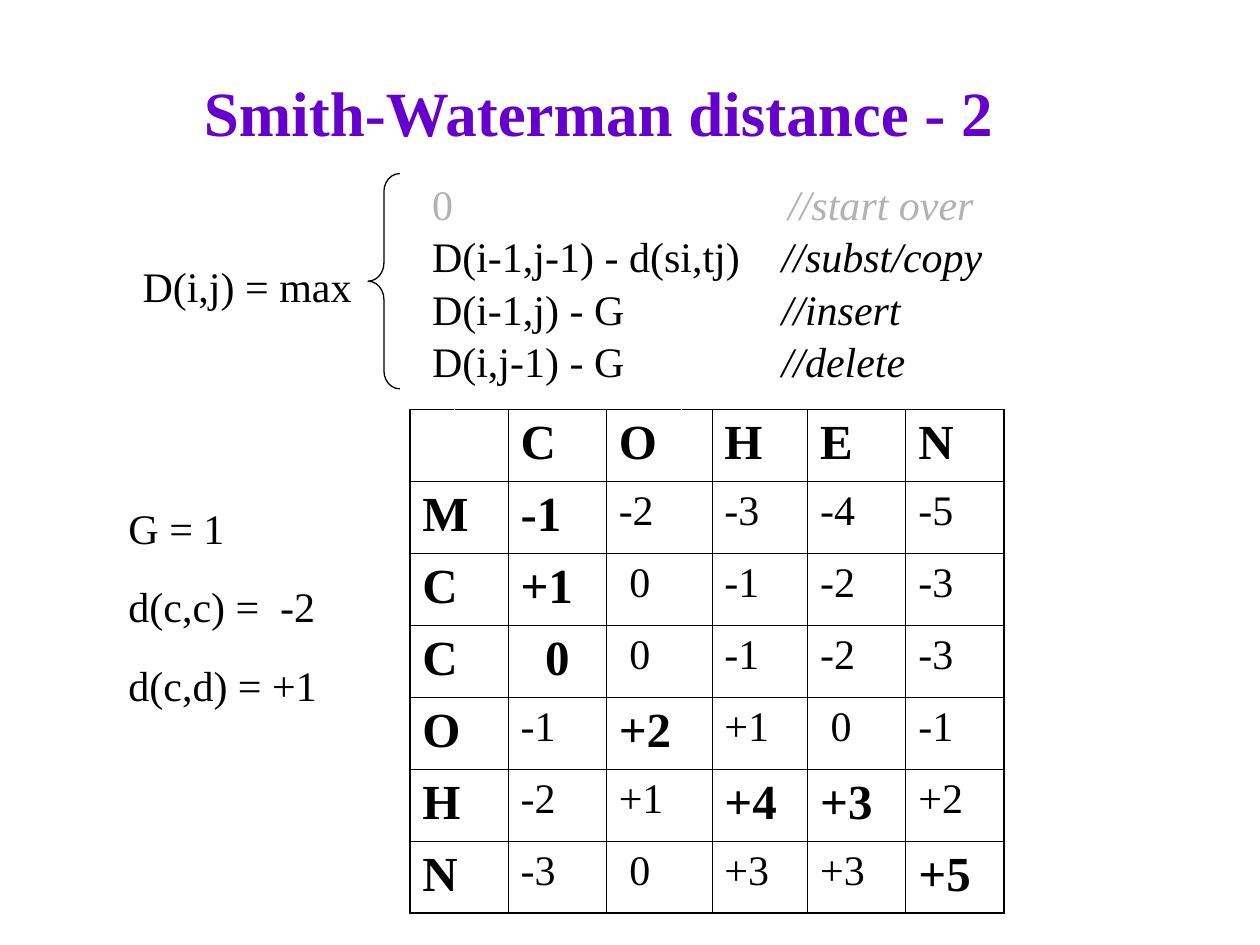
"""Build the Smith-Waterman distance slide with its recurrence and score table."""
from lxml import etree
from pptx import Presentation
from pptx.dml.color import RGBColor
from pptx.enum.shapes import MSO_SHAPE
from pptx.enum.text import MSO_ANCHOR, PP_ALIGN
from pptx.oxml.ns import qn
from pptx.util import Cm, Pt

LEFT_BRACE = MSO_SHAPE.LEFT_BRACE
MIDDLE = MSO_ANCHOR.MIDDLE
CENTER, RIGHT = PP_ALIGN.CENTER, PP_ALIGN.RIGHT
FONT = "Times New Roman"
PURPLE = RGBColor(0x66, 0x00, 0xCC)
BLACK = RGBColor(0x00, 0x00, 0x00)
GRAY = RGBColor(0xB2, 0xB2, 0xB2)
WHITE = RGBColor(0xFF, 0xFF, 0xFF)
THIN, THICK = Pt(0.45), Pt(1.08)


def style(run, size=24, color=BLACK, bold=False, italic=False):
    run.font.name = FONT
    run.font.size = Pt(size)
    run.font.color.rgb = color
    run.font.bold = bold
    run.font.italic = italic


def set_borders(cell, borders):
    properties = cell._tc.get_or_add_tcPr()
    for position, side in enumerate("LRTB"):
        color, width = borders[side]
        line = etree.Element(qn(f"a:ln{side}"), w=str(width))
        fill = etree.SubElement(line, qn("a:solidFill"))
        etree.SubElement(fill, qn("a:srgbClr"), val=str(color))
        properties.insert(position, line)


presentation = Presentation()
presentation.slide_width, presentation.slide_height = Cm(25.4), Cm(19.05)
slide = presentation.slides.add_slide(presentation.slide_layouts[5])

title = slide.shapes.title
title.left, title.top, title.width, title.height = Cm(1.27), Cm(1.07), Cm(21.59), Cm(2.34)
title.text_frame.text = "Smith-Waterman distance - 2"
title.text_frame.vertical_anchor = MIDDLE
title.text_frame.paragraphs[0].alignment = CENTER
style(title.text_frame.paragraphs[0].runs[0], 36, PURPLE, bold=True)

brace = slide.shapes.add_shape(LEFT_BRACE, Cm(7.42), Cm(3.5), Cm(0.64), Cm(4.34))
brace.adjustments[0] = 0.57
brace.shadow.inherit = False
brace.fill.background()
brace.line.color.rgb = BLACK
brace.line.width = Pt(0.75)

formula = slide.shapes.add_textbox(Cm(2.62), Cm(5.08), Cm(4.72), Cm(1.27))
formula.text_frame.text = "D(i,j) = max"
formula.text_frame.paragraphs[0].alignment = RIGHT
formula.text_frame.paragraphs[0].line_spacing = 1.04
style(formula.text_frame.paragraphs[0].runs[0])

CASES = [
    ("0", "//start over", GRAY, 7.18),
    ("D(i-1,j-1) - d(si,tj)", "//subst/copy", BLACK, 7.05),
    ("D(i-1,j) - G", "//insert", BLACK, 7.05),
    ("D(i,j-1) - G", "//delete", BLACK, 7.05),
]
cases = slide.shapes.add_textbox(Cm(8.46), Cm(3.43), Cm(12), Cm(4.32))
cases.text_frame.word_wrap = True
cases.text_frame.text = "\n".join(expression for expression, *_ in CASES)
for paragraph, (_, comment, color, tab) in zip(cases.text_frame.paragraphs, CASES):
    paragraph.line_spacing = 1.04
    tabs = etree.SubElement(paragraph._p.get_or_add_pPr(), qn("a:tabLst"))
    etree.SubElement(tabs, qn("a:tab"), pos=str(Cm(tab)), algn="l")
    style(paragraph.runs[0], color=color)
    comment_run = paragraph.add_run()
    comment_run.text = "\t" + comment
    style(comment_run, color=color, italic=True)

costs = slide.shapes.add_textbox(Cm(2.34), Cm(9.96), Cm(4.88), Cm(4.37))
costs.text_frame.word_wrap = True
costs.text_frame.text = "G = 1\nd(c,c) =  -2\nd(c,d) = +1"
for index, paragraph in enumerate(costs.text_frame.paragraphs):
    paragraph.line_spacing = 1.04
    paragraph.space_before = Pt(15 if index else 0)
    style(paragraph.runs[0])

SCORES = [
    ["", "C", "O", "H", "E", "N"],
    ["M", "-1", "-2", "-3", "-4", "-5"],
    ["C", "+1", " 0", "-1", "-2", "-3"],
    ["C", "0", " 0", "-1", "-2", "-3"],
    ["O", "-1", "+2", "+1", " 0", "-1"],
    ["H", "-2", "+1", "+4", "+3", "+2"],
    ["N", "-3", " 0", "+3", "+3", "+5"],
]
BEST_PATH = {(1, 1), (2, 1), (3, 1), (4, 2), (5, 3), (5, 4), (6, 5)}
COLUMN_WIDTHS = [0.89, 1.09, 1.98, 1.52, 0.61, 1.93, 1.98, 1.98]
GRID_STARTS = [0, 2, 3, 5, 6, 7]
ROW_HEIGHT = 1.45
FIRST_MERGED_ROW = {0: 1, 3: 2}
last_row, last_column = len(SCORES) - 1, len(COLUMN_WIDTHS) - 1

table = slide.shapes.add_table(
    len(SCORES), len(COLUMN_WIDTHS), Cm(8.26), Cm(8.26),
    Cm(sum(COLUMN_WIDTHS)), Cm(ROW_HEIGHT * len(SCORES))).table
table.first_row = table.horz_banding = False
for column, width in zip(table.columns, COLUMN_WIDTHS):
    column.width = Cm(width)
for row in table.rows:
    row.height = Cm(ROW_HEIGHT)

for row in range(len(SCORES)):
    for column in range(len(COLUMN_WIDTHS)):
        cell = table.cell(row, column)
        cell.fill.background()
        borders = {side: (BLACK, THIN) for side in "LRTB"}
        if column == 0:
            borders["L"] = (BLACK, THICK)
        if column == last_column:
            borders["R"] = (BLACK, THICK)
        if row == last_row:
            borders["B"] = (BLACK, THICK)
        for start, merged_row in FIRST_MERGED_ROW.items():
            if row < merged_row and column == start:
                borders["R"] = (WHITE, THIN)
            if row < merged_row and column == start + 1:
                borders["L"] = (WHITE, THIN)
        set_borders(cell, borders)
    for start, merged_row in FIRST_MERGED_ROW.items():
        if row >= merged_row:
            table.cell(row, start).merge(table.cell(row, start + 1))
    for index, (start, score) in enumerate(zip(GRID_STARTS, SCORES[row])):
        if score:
            cell = table.cell(row, start)
            cell.text_frame.text = score
            bold = row == 0 or index == 0 or (row, index) in BEST_PATH
            style(cell.text_frame.paragraphs[0].runs[0], 28 if bold else 24, bold=bold)

table.cell(3, 2).margin_left = Cm(0.75)

presentation.save("out.pptx")
